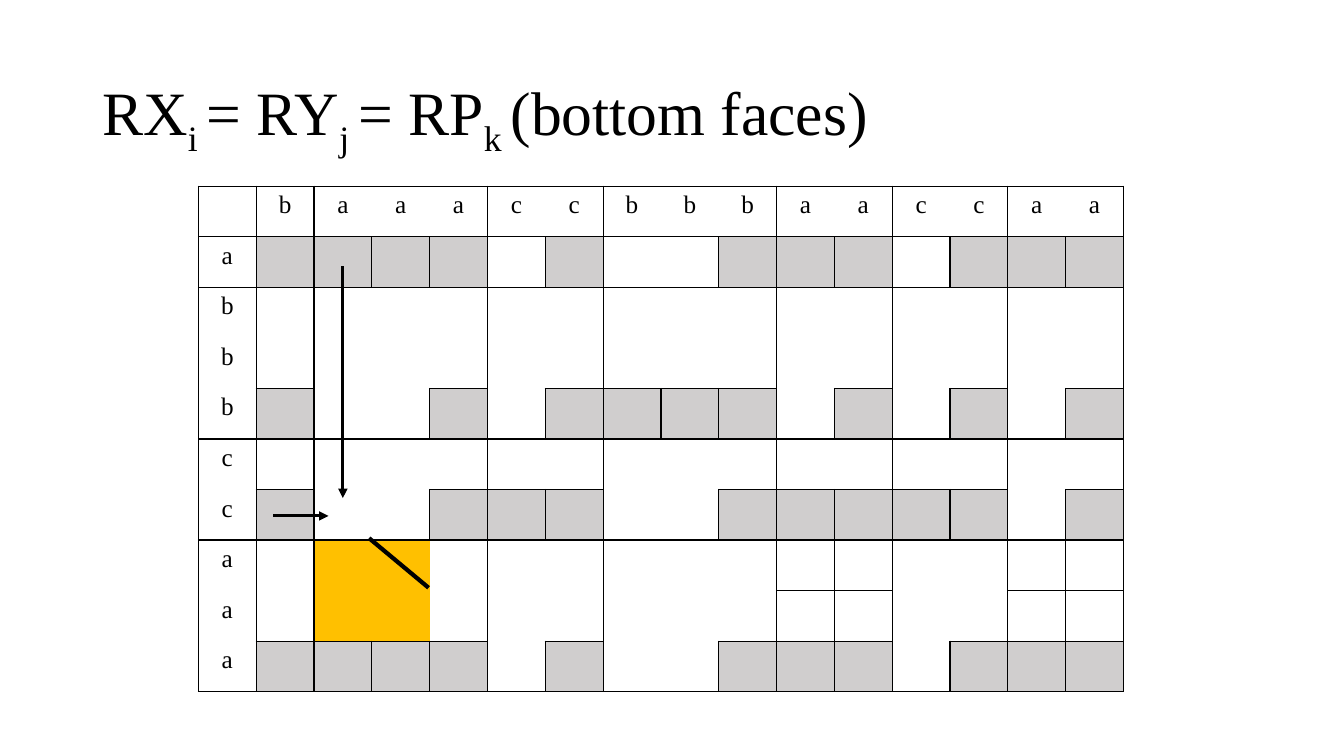
from lxml import etree
from pptx import Presentation
from pptx.dml.color import RGBColor
from pptx.enum.shapes import MSO_CONNECTOR
from pptx.enum.text import MSO_ANCHOR, PP_ALIGN
from pptx.oxml.ns import qn
from pptx.util import Cm, Pt

STRAIGHT = MSO_CONNECTOR.STRAIGHT
MIDDLE = MSO_ANCHOR.MIDDLE
CENTER = PP_ALIGN.CENTER
BLACK = RGBColor(0x00, 0x00, 0x00)
GREY = RGBColor(0xD0, 0xCE, 0xCE)
ORANGE = RGBColor(0xFF, 0xC0, 0x00)
WHITE = RGBColor(0xFF, 0xFF, 0xFF)
FONT = "Times New Roman"

COLUMN_WORD = " baaaccbbbaaccaa"
ROW_WORD = " abbbccaaa"
PATTERN = [
    "................",
    ".####.#..###.###",
    "................",
    "................",
    ".#..#.####.#.#.#",
    "................",
    ".#..###..#####.#",
    "..YY......++..++",
    "..YY......++..++",
    ".####.#..###.###",
]
FILLS = {"#": GREY, "Y": ORANGE}
SIDES = [("a:lnL", 0, -1), ("a:lnR", 0, 1), ("a:lnT", -1, 0), ("a:lnB", 1, 0)]


def set_font(r, size):
    r.font.name = FONT
    r.font.size = Pt(size)
    r.font.color.rgb = BLACK


def has_border(row, col, next_row, next_col):
    if not (0 <= next_row < len(ROW_WORD) and 0 <= next_col < len(COLUMN_WORD)):
        return True
    if ROW_WORD[row] != ROW_WORD[next_row] or COLUMN_WORD[col] != COLUMN_WORD[next_col]:
        return True
    marks = PATTERN[row][col] + PATTERN[next_row][next_col]
    return "#" in marks or "+" in marks


prs = Presentation()
prs.slide_width = Cm(33.87)
prs.slide_height = Cm(19.05)
s = prs.slides.add_slide(prs.slide_layouts[6])

tf = s.shapes.add_textbox(Cm(2.33), Cm(1.01), Cm(29.21), Cm(3.68)).text_frame
tf.word_wrap = True
tf.vertical_anchor = MIDDLE
p = tf.paragraphs[0]
p.line_spacing = 0.9
for text, subscript in [("RX", False), ("i ", True), ("= RY", False), ("j ", True),
                        ("= RP", False), ("k ", True), ("(bottom faces)", False)]:
    r = p.add_run()
    r.text = text
    set_font(r, 44)
    if subscript:
        r._r.get_or_add_rPr().set("baseline", "-25000")

table = s.shapes.add_table(len(ROW_WORD), len(COLUMN_WORD), Cm(5), Cm(4.69),
                           Cm(23.32), Cm(12.75)).table
table.first_row = False
table.horz_banding = False
for row in table.rows:
    row.height = Cm(12.75 / len(ROW_WORD))
for column in table.columns:
    column.width = Cm(23.32 / len(COLUMN_WORD))

for row, row_letter in enumerate(ROW_WORD):
    for col, column_letter in enumerate(COLUMN_WORD):
        cell = table.cell(row, col)
        tc_pr = cell._tc.get_or_add_tcPr()
        for tag, down, right in SIDES:
            ln = etree.SubElement(tc_pr, qn(tag), w="12700")
            if has_border(row, col, row + down, col + right):
                fill = etree.SubElement(ln, qn("a:solidFill"))
                etree.SubElement(fill, qn("a:srgbClr"), val=str(BLACK))
            else:
                etree.SubElement(ln, qn("a:noFill"))
        cell.fill.solid()
        cell.fill.fore_color.rgb = FILLS.get(PATTERN[row][col], WHITE)
        letter = column_letter if row == 0 else row_letter if col == 0 else ""
        if letter.strip():
            p = cell.text_frame.paragraphs[0]
            p.text = letter
            p.alignment = CENTER
            set_font(p.runs[0], 18)

for x1, y1, x2, y2, width, arrow in [
    (10.8, 14.81, 9.3, 13.56, 3, False),
    (8.64, 6.71, 8.64, 12.55, 2.25, True),
    (6.88, 13, 8.28, 13, 2.25, True),
]:
    line = s.shapes.add_connector(STRAIGHT, Cm(x1), Cm(y1), Cm(x2), Cm(y2))
    line.line.color.rgb = BLACK
    line.line.width = Pt(width)
    if arrow:
        etree.SubElement(line.line._get_or_add_ln(), qn("a:tailEnd"), type="triangle")
    etree.SubElement(line._element.spPr, qn("a:effectLst"))

prs.save("out.pptx")
